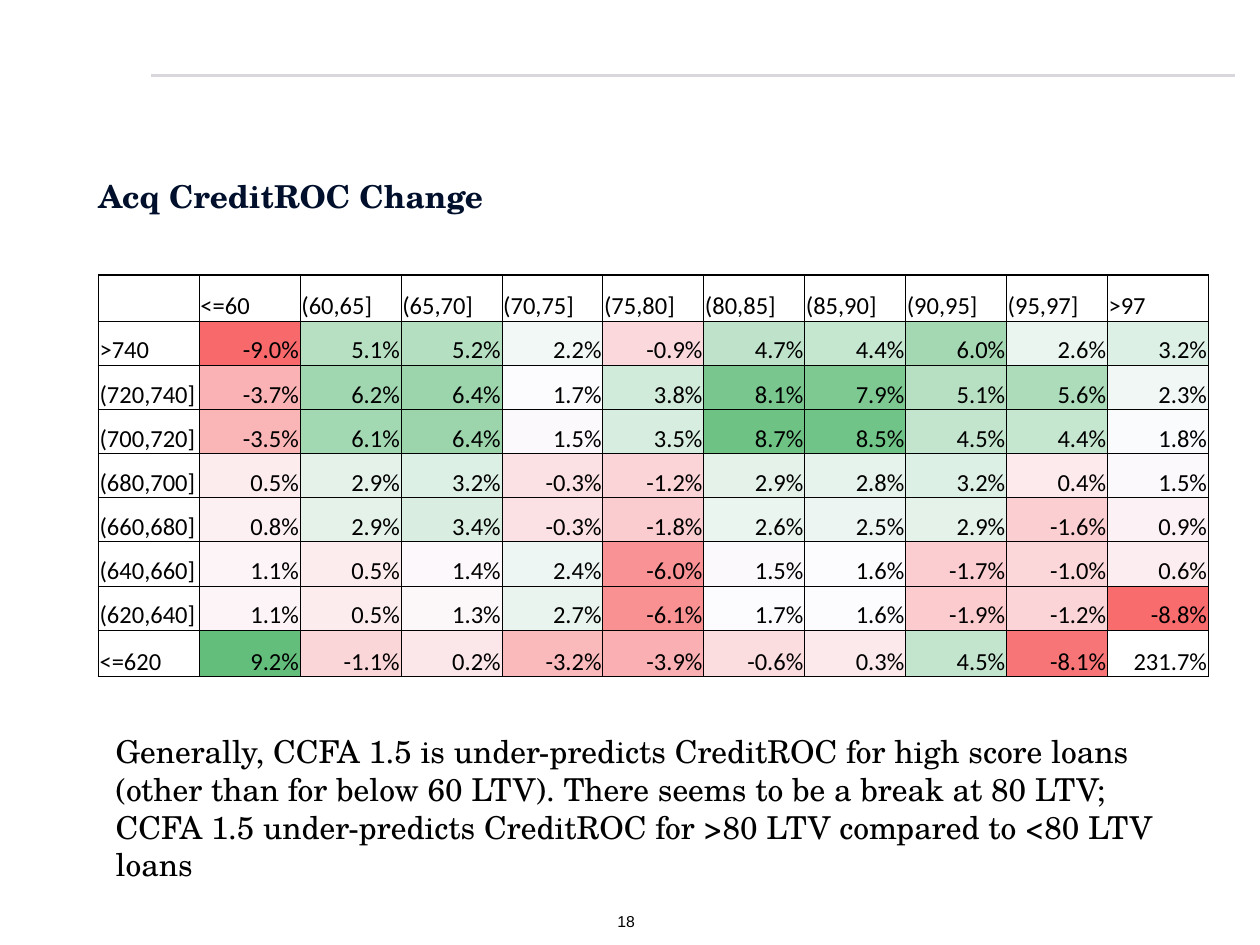
import lxml.etree
import pptx
import pptx.dml.color
import pptx.enum.shapes
import pptx.enum.text
import pptx.oxml.ns
import pptx.util

Pt = pptx.util.Pt
qn = pptx.oxml.ns.qn
Align = pptx.enum.text.PP_ALIGN
Anchor = pptx.enum.text.MSO_ANCHOR
Fit = pptx.enum.text.MSO_AUTO_SIZE

SERIF = "TeX Gyre Schola"
BLACK = "000000"
LOW, MID, HIGH = (-9.0, "F8696B"), (1.7, "FCFCFF"), (9.2, "63BE7B")

LTV = ["<=60", "(60,65]", "(65,70]", "(70,75]", "(75,80]", "(80,85]",
       "(85,90]", "(90,95]", "(95,97]", ">97"]
RATES = {
    ">740": [-9.0, 5.1, 5.2, 2.2, -0.9, 4.7, 4.4, 6.0, 2.6, 3.2],
    "(720,740]": [-3.7, 6.2, 6.4, 1.7, 3.8, 8.1, 7.9, 5.1, 5.6, 2.3],
    "(700,720]": [-3.5, 6.1, 6.4, 1.5, 3.5, 8.7, 8.5, 4.5, 4.4, 1.8],
    "(680,700]": [0.5, 2.9, 3.2, -0.3, -1.2, 2.9, 2.8, 3.2, 0.4, 1.5],
    "(660,680]": [0.8, 2.9, 3.4, -0.3, -1.8, 2.6, 2.5, 2.9, -1.6, 0.9],
    "(640,660]": [1.1, 0.5, 1.4, 2.4, -6.0, 1.5, 1.6, -1.7, -1.0, 0.6],
    "(620,640]": [1.1, 0.5, 1.3, 2.7, -6.1, 1.7, 1.6, -1.9, -1.2, -8.8],
    "<=620": [9.2, -1.1, 0.2, -3.2, -3.9, -0.6, 0.3, 4.5, -8.1, 231.7],
}
NOTE = ("Generally, CCFA 1.5 is under-predicts CreditROC for high score loans "
        "(other than for below 60 LTV). There seems to be a break at 80 LTV; "
        "CCFA 1.5 under-predicts CreditROC for >80 LTV compared to <80 LTV "
        "loans")


def color(code):
    return pptx.dml.color.RGBColor.from_string(code)


def heat(rate):
    """Blend the three-point colour scale; None above its top."""
    if rate > HIGH[0]:
        return None
    end, tint = LOW if rate < MID[0] else HIGH
    part = (rate - MID[0]) / (end - MID[0])
    pairs = zip(bytes.fromhex(MID[1]), bytes.fromhex(tint))
    return "".join(f"{round(a + (b - a) * part):02X}" for a, b in pairs)


def write(para, text, size, font, tint=BLACK, bold=False):
    run = para.add_run()
    run.text = text
    run.font.size = Pt(size)
    run.font.name = font
    run.font.bold = bold
    run.font.color.rgb = color(tint)


def inset(part, left, top, right, bottom):
    part.margin_left, part.margin_top = Pt(left), Pt(top)
    part.margin_right, part.margin_bottom = Pt(right), Pt(bottom)


def add_frame(slide, box, pads=(7.2, 3.6, 7.2, 3.6)):
    frame = slide.shapes.add_textbox(*map(Pt, box)).text_frame
    frame.word_wrap = True
    inset(frame, *pads)
    return frame


def add_rule(slide, box):
    left, top, width, height = box
    line = slide.shapes.add_connector(
        pptx.enum.shapes.MSO_CONNECTOR.STRAIGHT,
        Pt(left), Pt(top), Pt(left + width), Pt(top + height))
    line.line.color.rgb = color("D9D7DC")
    line.line.width = Pt(1.5)
    lxml.etree.SubElement(line._element.spPr, qn("a:effectLst"))


def add_title(slide, box):
    para = add_frame(slide, box, (0, 3.6, 7.2, 3.6)).paragraphs[0]
    para.line_spacing = 0.9
    write(para, "Acq CreditROC Change", 18, SERIF, "000F2B", True)


def add_note(slide, box):
    frame = add_frame(slide, box)
    frame.auto_size = Fit.SHAPE_TO_FIT_TEXT
    write(frame.paragraphs[0], NOTE, 18, SERIF)


def add_number(slide, box):
    frame = add_frame(slide, box, (5, 2.9, 5, 2.9))
    frame.auto_size = Fit.SHAPE_TO_FIT_TEXT
    frame.paragraphs[0].alignment = Align.CENTER
    write(frame.paragraphs[0], "18", 9, "Arial")


def edge(cell, outer):
    """Draw cell borders, heavier on the sides named in outer."""
    props = cell._tc.get_or_add_tcPr()
    for side in "LRTB":
        line = lxml.etree.SubElement(props, qn("a:ln" + side))
        line.set("w", str(int(Pt(1 if side in outer else 0.5))))
        fill = lxml.etree.SubElement(line, qn("a:solidFill"))
        lxml.etree.SubElement(fill, qn("a:srgbClr")).set("val", BLACK)


def fill_cell(cell, text, tint, align, outer):
    edge(cell, outer)
    cell.vertical_anchor = Anchor.BOTTOM
    inset(cell, 0.7, 0.7, 0.7, 0)
    if tint:
        cell.fill.solid()
        cell.fill.fore_color.rgb = color(tint)
    else:
        cell.fill.background()
    para = cell.text_frame.paragraphs[0]
    para.alignment = align
    if text:
        write(para, text, 14, "Calibri")


def add_grid(slide, box):
    rows = [[""] + LTV] + [[name] + rates for name, rates in RATES.items()]
    last, end = len(rows) - 1, len(LTV)
    table = slide.shapes.add_table(last + 1, end + 1, *map(Pt, box)).table
    table.first_row = table.horz_banding = False
    for col in table.columns:
        col.width = Pt(box[2] / (end + 1))
    for r, row in enumerate(rows):
        table.rows[r].height = Pt(26.64 if r in (0, last) else 25.2)
        for c, value in enumerate(row):
            sides = {"L": c == 0, "R": c == end, "T": r == 0, "B": r == last}
            outer = [side for side in sides if sides[side]]
            cell = table.cell(r, c)
            if isinstance(value, str):
                fill_cell(cell, value, None, Align.LEFT, outer)
            else:
                fill_cell(cell, f"{value:.1f}%", heat(value),
                          Align.RIGHT, outer)


def main():
    deck = pptx.Presentation()
    deck.slide_width, deck.slide_height = Pt(720), Pt(540)
    slide = deck.slides.add_slide(deck.slide_layouts[6])
    add_rule(slide, (86.4, 43.2, 619.2, 0))
    add_number(slide, (325.4, 518.4, 64.8, 16.6))
    add_title(slide, (56.2, 100.1, 648.7, 25.2))
    add_grid(slide, (56.2, 157, 634.3, 229.7))
    add_note(slide, (59, 414.7, 613.4, 72.7))
    deck.save("out.pptx")


if __name__ == "__main__":
    main()
